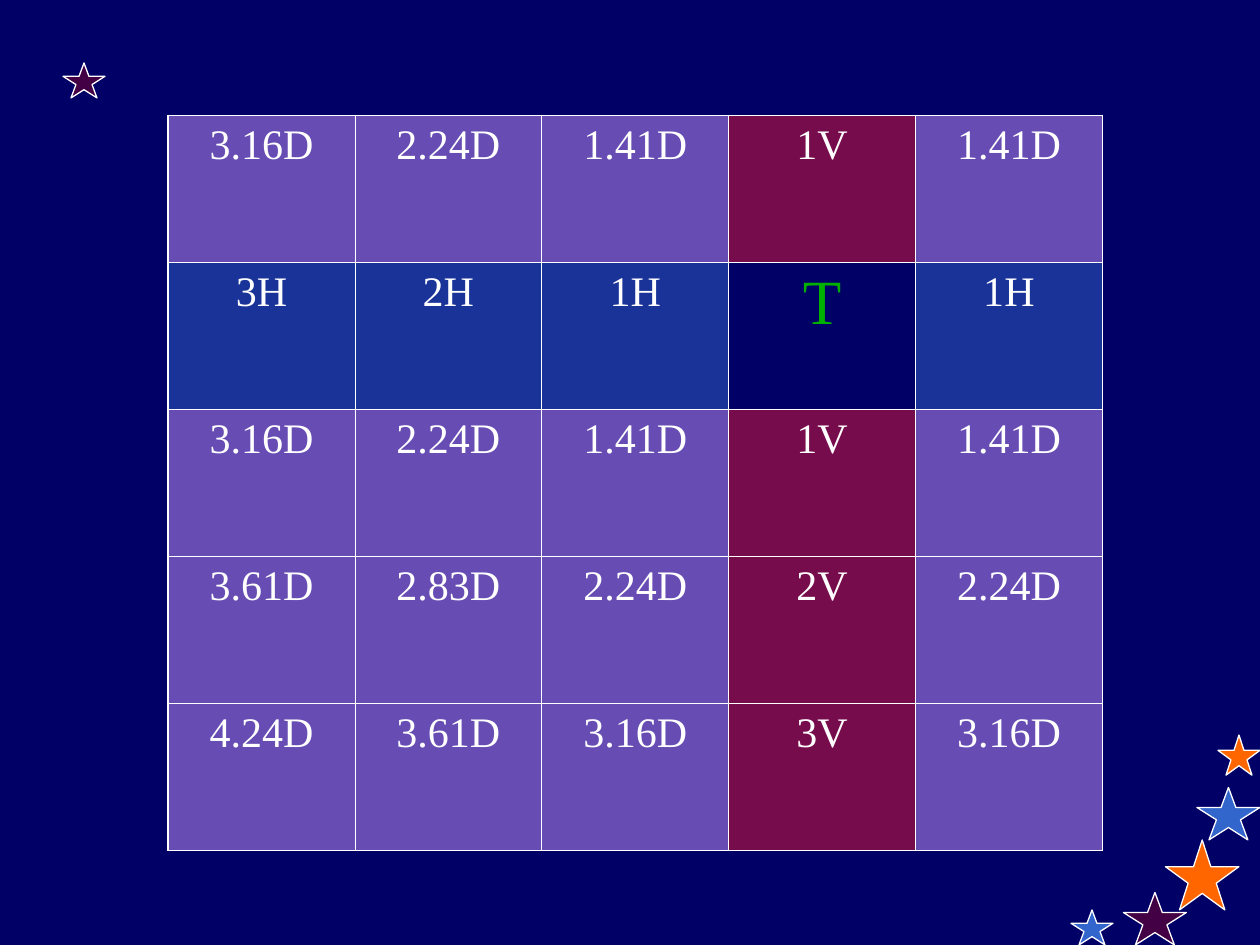
from dataclasses import dataclass
from math import hypot

from lxml import etree
from pptx import Presentation
from pptx.dml.color import RGBColor
from pptx.enum import shapes, text
from pptx.oxml import ns
from pptx.util import Pt


@dataclass(frozen=True)
class Theme:
    background: str = "000067"
    white: str = "FFFFFF"
    blue: str = "3366CC"
    orange: str = "FF6600"
    plum: str = "440044"
    diagonal: str = "CC99FF"
    vertical: str = "EE1834"
    target: str = "00B000"
    font: str = "Times New Roman"
    label_size: float = 24
    target_size: float = 36
    star_line: float = 0.75
    outer_line: float = 1.08
    inner_line: float = 0.45


THEME = Theme()
ROWS, COLUMNS = 5, 5
TARGET_ROW, TARGET_COLUMN = 1, 3
GRID_BOX = (96, 66, 534, 420)
STARS = [
    ((684, 450, 36, 30), THEME.blue),
    ((666, 480, 42, 40), THEME.orange),
    ((642, 510, 36, 30), THEME.plum),
    ((696, 420, 24, 23), THEME.orange),
    ((612, 520, 24, 20), THEME.blue),
    ((36, 36, 24, 20), THEME.plum),
]


def rgb(value):
    return RGBColor.from_string(value)


def write_text(frame, content, *, size=THEME.label_size, color=THEME.white):
    para = frame.paragraphs[0]
    para.alignment = text.PP_ALIGN.CENTER
    span = para.add_run()
    span.text = content
    span.font.name = THEME.font
    span.font.size = Pt(size)
    span.font.color.rgb = rgb(color)


def add_star(page, box, color):
    star = page.shapes.add_shape(shapes.MSO_SHAPE.STAR_5_POINT, *map(Pt, box))
    star.shadow.inherit = False
    star.fill.solid()
    star.fill.fore_color.rgb = rgb(color)
    star.line.color.rgb = rgb(THEME.white)
    star.line.width = Pt(THEME.star_line)


def fill_half_transparent(cell, color):
    cell.fill.solid()
    cell.fill.fore_color.rgb = rgb(color)
    color_node = next(cell._tc.tcPr.iter(ns.qn("a:srgbClr")))
    etree.SubElement(color_node, ns.qn("a:alpha"), val="50000")


def add_borders(cell, row, column):
    """Draw thick lines on the rim of the grid and thin ones inside."""
    on_rim = {
        "a:lnL": column == 0,
        "a:lnR": column == COLUMNS - 1,
        "a:lnT": row == 0,
        "a:lnB": row == ROWS - 1,
    }
    properties = cell._tc.get_or_add_tcPr()
    for position, (tag, outer) in enumerate(on_rim.items()):
        width = Pt(THEME.outer_line if outer else THEME.inner_line)
        line = etree.Element(ns.qn(tag), w=str(int(width)))
        fill = etree.SubElement(line, ns.qn("a:solidFill"))
        etree.SubElement(fill, ns.qn("a:srgbClr"), val=THEME.white)
        properties.insert(position, line)


def label_and_fill(across, down):
    """Name the distance to the target and give its cell colour."""
    if down == 0:
        return f"{across}H", THEME.blue
    if across == 0:
        return f"{down}V", THEME.vertical
    return f"{hypot(across, down):.2f}D", THEME.diagonal


def add_distance_grid(page, box):
    table = page.shapes.add_table(ROWS, COLUMNS, *map(Pt, box)).table
    table.first_row = False
    table.horz_banding = False
    for row in range(ROWS):
        for column in range(COLUMNS):
            cell = table.cell(row, column)
            across, down = abs(column - TARGET_COLUMN), abs(row - TARGET_ROW)
            if across == down == 0:
                cell.fill.background()
                write_text(cell.text_frame, "T", size=THEME.target_size, color=THEME.target)
            else:
                label, color = label_and_fill(across, down)
                fill_half_transparent(cell, color)
                write_text(cell.text_frame, label)
            add_borders(cell, row, column)


def main():
    deck = Presentation()
    deck.slide_width, deck.slide_height = Pt(720), Pt(540)
    page = deck.slides.add_slide(deck.slide_layouts[6])
    page.background.fill.solid()
    page.background.fill.fore_color.rgb = rgb(THEME.background)
    for box, color in STARS:
        add_star(page, box, color)
    add_distance_grid(page, GRID_BOX)
    deck.save("out.pptx")


if __name__ == "__main__":
    main()
